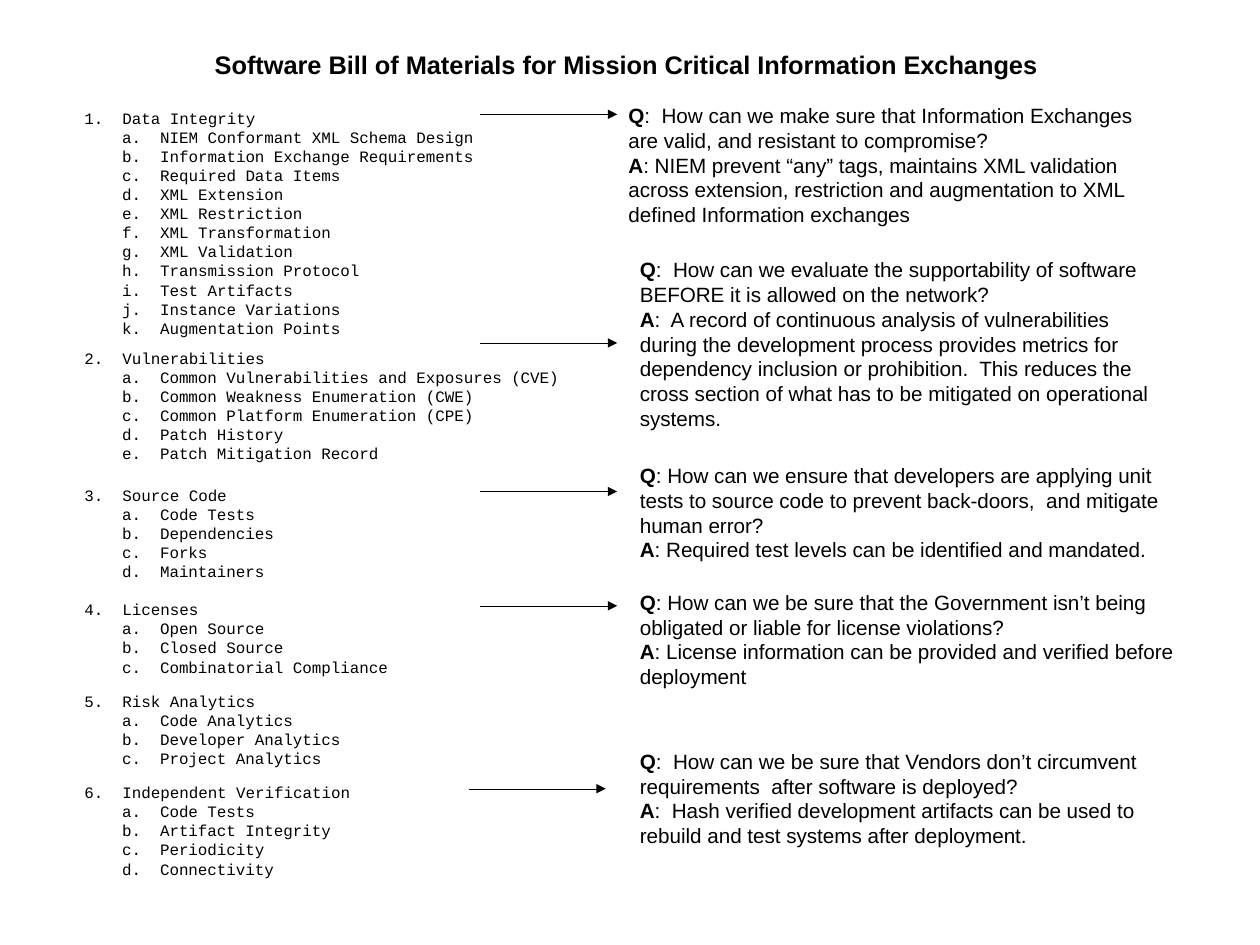
from dataclasses import dataclass

from lxml import etree
from pptx import Presentation
from pptx.dml.color import RGBColor
from pptx.enum.shapes import MSO_CONNECTOR
from pptx.enum.text import MSO_ANCHOR, MSO_AUTO_SIZE, PP_ALIGN
from pptx.oxml.ns import qn
from pptx.util import Inches, Pt

STRAIGHT = MSO_CONNECTOR.STRAIGHT
FIT_SHAPE = MSO_AUTO_SIZE.SHAPE_TO_FIT_TEXT
NO_FIT = MSO_AUTO_SIZE.NONE
MIDDLE = MSO_ANCHOR.MIDDLE
CENTER = PP_ALIGN.CENTER


@dataclass(frozen=True)
class Theme:
    ink: RGBColor = RGBColor(0, 0, 0)
    paper: RGBColor = RGBColor(255, 255, 255)
    sans: str = "Arial"
    mono: str = "Courier New"
    title_size: int = 16
    title_end_size: int = 15
    answer_size: int = 13
    outline_size: int = 10


THEME = Theme()
CM_PER_INCH = 2.54
PAGE_WIDTH = 28 / CM_PER_INCH
PAGE_HEIGHT = 21 / CM_PER_INCH
TITLE = "Software Bill of Materials for Mission Critical Information Exchanges"
OUTLINE_LEFT = 0.64
OUTLINE_INDENT = 0.33
ARROW_LENGTH = 1.2
LETTERS = "abcdefghijk"

OUTLINE = [
    (0.9, 4.31, 2.1, "Data Integrity", [
        "NIEM Conformant XML Schema Design", "Information Exchange Requirements",
        "Required Data Items", "XML Extension", "XML Restriction",
        "XML Transformation", "XML Validation", "Transmission Protocol",
        "Test Artifacts", "Instance Variations", "Augmentation Points"]),
    (3, 4.6, 1.3, "Vulnerabilities", [
        "Common Vulnerabilities and Exposures (CVE)",
        "Common Weakness Enumeration (CWE)", "Common Platform Enumeration (CPE)",
        "Patch History", "Patch Mitigation Record"]),
    (4.2, 4.6, 1.2, "Source Code", [
        "Code Tests", "Dependencies", "Forks", "Maintainers"]),
    (5.2, 3.4, 1.2, "Licenses", [
        "Open Source", "Closed Source", "Combinatorial Compliance"]),
    (6, 3.86, 1.3, "Risk Analytics", [
        "Code Analytics", "Developer Analytics", "Project Analytics"]),
    (6.8, 3.86, 1.3, "Independent Verification", [
        "Code Tests", "Artifact Integrity", "Periodicity", "Connectivity"]),
]

ANSWERS = [
    (5.4, 0.85, 4.9, 1.31,
     ":  How can we make sure that Information Exchanges are valid, and "
     "resistant to compromise?",
     ": NIEM prevent “any” tags, maintains XML validation across extension, "
     "restriction and augmentation to XML defined Information exchanges"),
    (5.5, 2.2, 4.8, 1.57,
     ":  How can we evaluate the supportability of software BEFORE it is "
     "allowed on the network?",
     ":  A record of continuous analysis of vulnerabilities during the "
     "development process provides metrics for dependency inclusion or "
     "prohibition.  This reduces the cross section of what has to be "
     "mitigated on operational systems."),
    (5.5, 4, 4.9, 1.11,
     ": How can we ensure that developers are applying unit tests to source "
     "code to prevent back-doors,  and mitigate human error?",
     ": Required test levels can be identified and mandated."),
    (5.5, 5.11, 5.1, 1,
     ": How can we be sure that the Government isn’t being obligated or "
     "liable for license violations?",
     ": License information can be provided and verified before deployment"),
    (5.5, 6.5, 4.8, 1.31,
     ":  How can we be sure that Vendors don’t circumvent requirements  "
     "after software is deployed?",
     ":  Hash verified development artifacts can be used to rebuild and test "
     "systems after deployment."),
]

ARROWS = [(4.2, 1), (4.2, 3), (4.2, 4.3), (4.2, 5.3), (4.1, 6.9)]


def add_span(para, text, *, size, font=THEME.sans, bold=False):
    span = para.add_run()
    span.text = text
    span.font.name = font
    span.font.size = Pt(size)
    span.font.bold = bold
    span.font.color.rgb = THEME.ink


def add_box(page, left, top, width, height):
    box = page.shapes.add_textbox(
        Inches(left), Inches(top), Inches(width), Inches(height))
    box.text_frame.word_wrap = True
    box.text_frame.auto_size = FIT_SHAPE
    return box.text_frame


def add_outline(page, number, top, width, height, heading, items):
    frame = add_box(page, OUTLINE_LEFT, top, width, height)
    add_span(frame.paragraphs[0], f"{number}.  {heading}",
             size=THEME.outline_size, font=THEME.mono)
    for letter, item in zip(LETTERS, items):
        para = frame.add_paragraph()
        para._p.get_or_add_pPr().set("marL", str(Inches(OUTLINE_INDENT)))
        add_span(para, f"{letter}.  {item}",
                 size=THEME.outline_size, font=THEME.mono)


def add_answer(page, left, top, width, height, question, answer):
    frame = add_box(page, left, top, width, height)
    paras = [frame.paragraphs[0], frame.add_paragraph()]
    for para, label, text in zip(paras, "QA", (question, answer)):
        add_span(para, label, size=THEME.answer_size, bold=True)
        add_span(para, text, size=THEME.answer_size)


def add_arrow(page, left, top):
    arrow = page.shapes.add_connector(
        STRAIGHT, Inches(left), Inches(top),
        Inches(left + ARROW_LENGTH), Inches(top))
    arrow.line.color.rgb = THEME.ink
    outline = arrow._element.spPr.find(qn("a:ln"))
    outline.set("w", "0")
    etree.SubElement(outline, qn("a:tailEnd"), type="triangle")
    etree.SubElement(arrow._element.spPr, qn("a:effectLst"))


def set_title(page, text):
    title = page.shapes.title
    title.left, title.top = Inches(0.55), Inches(0.33)
    title.width, title.height = Inches(9.92), Inches(0.47)
    frame = title.text_frame
    frame.margin_left = frame.margin_right = Inches(0)
    frame.margin_top = frame.margin_bottom = Inches(0)
    frame.vertical_anchor = MIDDLE
    frame.word_wrap = True
    frame.auto_size = NO_FIT
    para = frame.paragraphs[0]
    para.alignment = CENTER
    add_span(para, text, size=THEME.title_size, bold=True)
    add_span(para, " ", size=THEME.title_end_size)


def main():
    deck = Presentation()
    deck.slide_width = Inches(PAGE_WIDTH)
    deck.slide_height = Inches(PAGE_HEIGHT)
    page = deck.slides.add_slide(deck.slide_layouts.get_by_name("Title Only"))
    page.background.fill.solid()
    page.background.fill.fore_color.rgb = THEME.paper
    set_title(page, TITLE)
    for number, section in enumerate(OUTLINE, start=1):
        add_outline(page, number, *section)
    for answer in ANSWERS:
        add_answer(page, *answer)
    for arrow in ARROWS:
        add_arrow(page, *arrow)
    deck.save("out.pptx")


if __name__ == "__main__":
    main()
